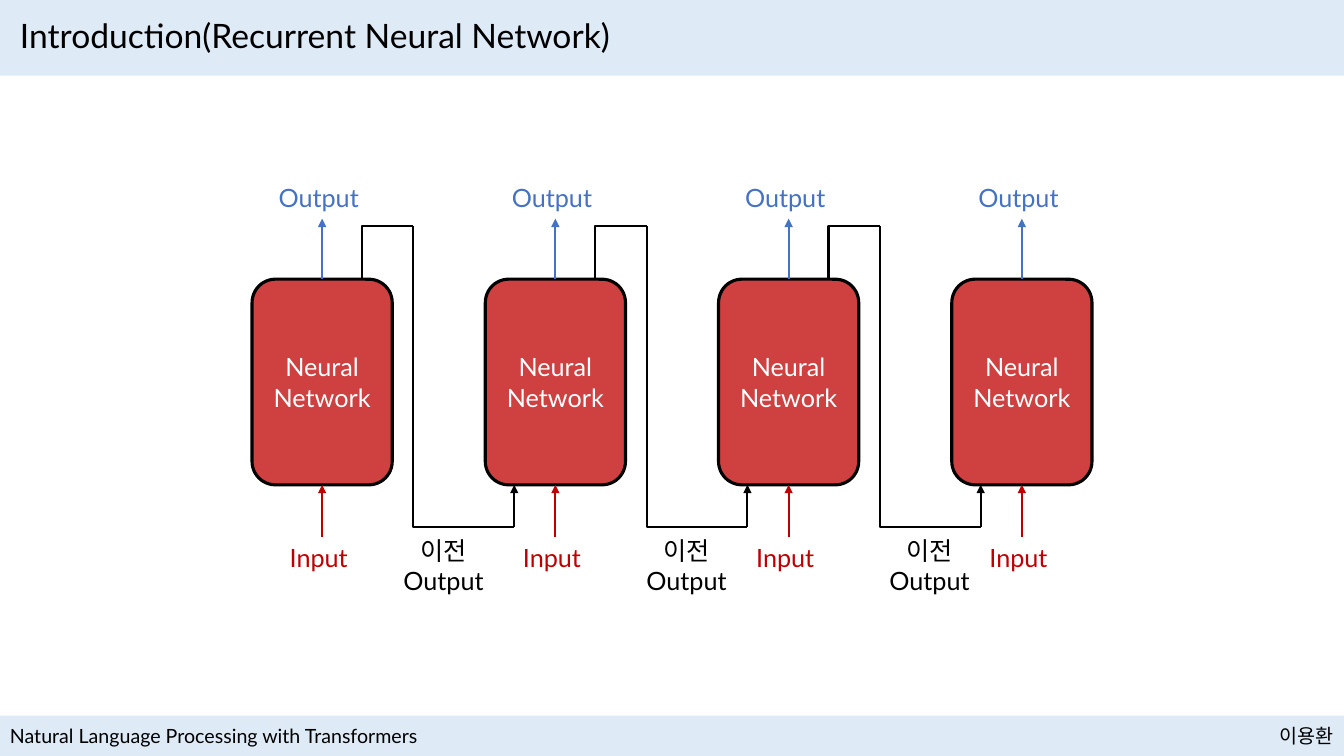
import pptx
import pptx.util
import pptx.dml.color
import pptx.enum.shapes
import pptx.enum.text
import pptx.oxml.ns
from lxml import etree
from dataclasses import dataclass

Inches, Pt = pptx.util.Inches, pptx.util.Pt
RGB = pptx.dml.color.RGBColor.from_string
Shape = pptx.enum.shapes.MSO_SHAPE
Link = pptx.enum.shapes.MSO_CONNECTOR
Align = pptx.enum.text.PP_ALIGN
Anchor = pptx.enum.text.MSO_ANCHOR
qn = pptx.oxml.ns.qn


@dataclass(frozen=True)
class Theme:
    font: str = "Lato"
    band: str = "DEEBF7"
    ink: str = "000000"
    white: str = "FFFFFF"
    red: str = "C00000"
    blue: str = "4472C4"
    title: int = 24
    body: int = 18
    small: int = 14
    thin: float = 1.5
    thick: float = 2.25


THEME = Theme()
STEPS = 4


def write(frame, text, size=THEME.body, color=THEME.ink, align=Align.LEFT,
          anchor=Anchor.TOP, space=None):
    frame.word_wrap = True
    frame.vertical_anchor = anchor
    frame.text = text
    for para in frame.paragraphs:
        para.alignment = align
        para.line_spacing = space
        font = para.runs[0].font
        font.name, font.size = THEME.font, Pt(size)
        font.color.rgb = RGB(color)


def label(shapes, box, text, **style):
    area = shapes.add_textbox(*map(Inches, box))
    write(area.text_frame, text, **style)


def block(shapes, kind, box, color):
    shape = shapes.add_shape(kind, *map(Inches, box))
    shape.shadow.inherit = False
    shape.fill.solid()
    shape.fill.fore_color.rgb = RGB(color)
    shape.line.fill.background()
    return shape


def line(shapes, start, end, color=THEME.ink, kind=Link.STRAIGHT, arrow=False):
    link = shapes.add_connector(kind, *map(Inches, (*start, *end)))
    link.line.color.rgb = RGB(color)
    link.line.width = Pt(THEME.thin)
    props = link._element.spPr
    etree.SubElement(props, qn("a:effectLst"))
    if arrow:
        etree.SubElement(props.find(qn("a:ln")), qn("a:tailEnd"), type="triangle")
    return link


def elbow(shapes, start, end):
    """Run vertically from start, then across to end."""
    (x1, y1), (x2, y2) = start, end
    midx, midy = (x1 + x2) / 2, (y1 + y2) / 2
    half, rise = abs(y2 - y1) / 2, (x2 - x1) / 2
    down = y2 > y1
    if not down:
        rise = -rise
    # The unturned connector swaps width and height about the same centre
    link = line(shapes, (midx + half, midy - rise), (midx - half, midy + rise),
                kind=Link.ELBOW)
    props = link._element.spPr
    props.find(qn("a:xfrm")).set("rot", str((270 if down else 90) * 60000))
    guides = props.find(qn("a:prstGeom")).find(qn("a:avLst"))
    etree.SubElement(guides, qn("a:gd"), name="adj1", fmla="val 100000")


def header(slide, box):
    left, top, width, height = box
    block(slide.shapes, Shape.RECTANGLE, box, THEME.band)
    label(slide.shapes, (left + 0.1, top + 0.1, width - 0.2, height - 0.2),
          "Introduction(Recurrent Neural Network)", size=THEME.title,
          anchor=Anchor.MIDDLE, space=0.9)


def footer(slide, box):
    left, top, width, height = box
    block(slide.shapes, Shape.RECTANGLE, box, THEME.band)
    label(slide.shapes, (left, top + 0.03, 4.5, 0.34),
          "Natural Language Processing with Transformers", size=THEME.small)
    label(slide.shapes, (left + width - 0.91, top + 0.03, 0.91, 0.34),
          "이용환", size=THEME.small, align=Align.RIGHT)


def cell(slide, box):
    """One time step: network with its input and output."""
    left, top, width, height = box
    base, mid = top + height, left + width / 2
    shapes = slide.shapes.add_group_shape().shapes
    net = block(shapes, Shape.ROUNDED_RECTANGLE, box, THEME.red)
    tint = net._element.spPr.find(qn("a:solidFill"))[0]
    etree.SubElement(tint, qn("a:alpha"), val="75000")
    net.line.color.rgb = RGB(THEME.ink)
    net.line.width = Pt(THEME.thick)
    write(net.text_frame, "Neural\nNetwork", color=THEME.white,
          align=Align.CENTER, anchor=Anchor.MIDDLE)
    line(shapes, (mid, base + 0.52), (mid, base), THEME.red, arrow=True)
    label(shapes, (mid - 0.42, base + 0.52, 0.84, 0.4), "Input", color=THEME.red)
    label(shapes, (mid - 0.53, top - 1.01, 1.06, 0.4), "Output", color=THEME.blue)
    line(shapes, (mid, top), (mid, top - 0.6), THEME.blue, arrow=True)


def loop(slide, box):
    """Path from the top of one network to the base of the next."""
    left, top, width, height = box
    base = top + height
    start, bend, end = left + 1.09, left + 1.6, left + 2.6
    shapes = slide.shapes.add_group_shape().shapes
    elbow(shapes, (start, top), (bend, top - 0.53))
    elbow(shapes, (bend, top - 0.53), (end, base + 0.42))
    line(shapes, (end, base + 0.42), (end, base), arrow=True)


def diagram(slide, box):
    left, top, width, height = box
    size = 1.39
    pitch = (width - size) / (STEPS - 1)
    boxes = [(left + i * pitch, top, size, height) for i in range(STEPS)]
    for place in boxes:
        cell(slide, place)
    for place in boxes[:-1]:
        loop(slide, place)
    # Captions of the passed-on outputs
    for i in range(STEPS - 1):
        label(slide.shapes, (left + 1.37 + i * 2.41, top + height + 0.45, 1.06, 0.71),
              "이전\nOutput", align=Align.CENTER)


def main():
    deck = pptx.Presentation()
    deck.slide_width, deck.slide_height = Inches(13.33), Inches(7.5)
    slide = deck.slides.add_slide(deck.slide_layouts[6])
    header(slide, (0, 0, 13.33, 0.75))
    footer(slide, (0, 7.1, 13.33, 0.4))
    diagram(slide, (2.5, 2.77, 8.33, 2.04))
    deck.save("out.pptx")


if __name__ == "__main__":
    main()
